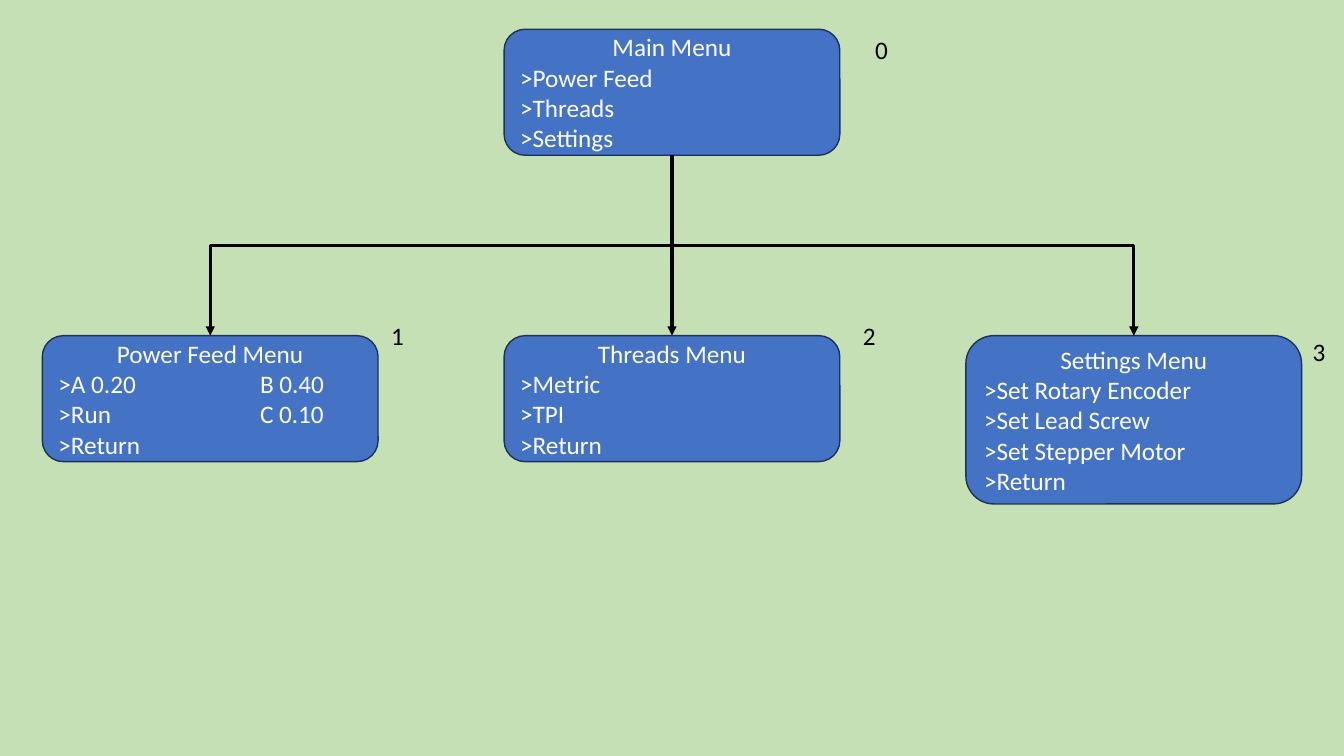
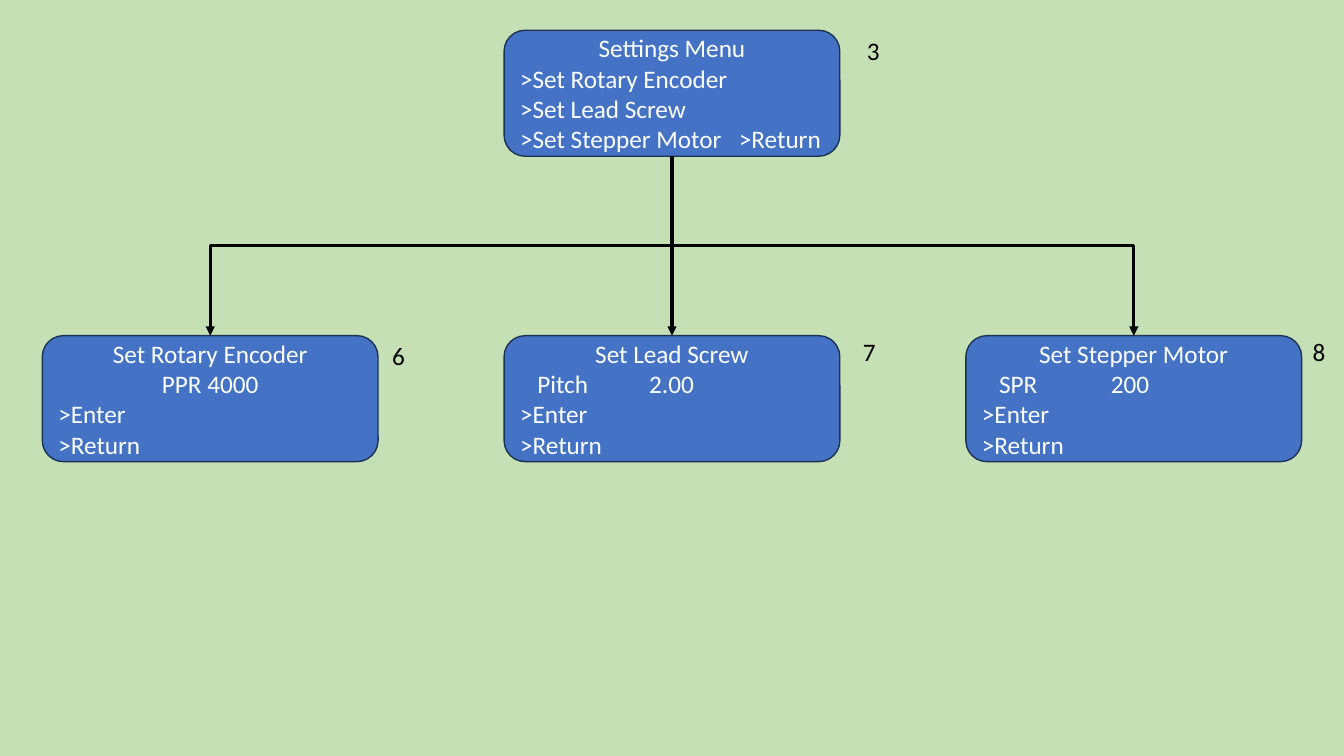
"""Build two slides of menu trees: a parent menu with three submenus each."""
from lxml.etree import SubElement
from pptx import Presentation
from pptx.dml.color import RGBColor
from pptx.enum.shapes import MSO_CONNECTOR, MSO_SHAPE
from pptx.enum.text import MSO_ANCHOR, MSO_AUTO_SIZE, PP_ALIGN
from pptx.oxml.ns import qn
from pptx.util import Inches, Pt

BACKGROUND = RGBColor(0xC5, 0xE0, 0xB4)
BOX_FILL = RGBColor(0x44, 0x72, 0xC4)
BOX_LINE = RGBColor(0x1E, 0x32, 0x56)
WHITE = RGBColor(0xFF, 0xFF, 0xFF)
BLACK = RGBColor(0, 0, 0)
FONT, FONT_SIZE = "Calibri", Pt(18)

BOX_WIDTH, BOX_HEIGHT = 3.33, 1.25
COLUMN_LEFT, COLUMN_STEP = 0.42, 4.58
CHILD_TOP = 3.33
TOP, LEFT, BOTTOM, RIGHT = range(4)

TREES = [
    {
        "parent": {"top": 0.29, "number": ("0", 8.58, 0.29), "titles": ["Main Menu"],
                   "items": [">Power Feed", ">Threads", ">Settings"]},
        "children": [
            {"number": ("1", 3.78, 3.13), "titles": ["Power Feed Menu"], "tabs": [2],
             "items": [">A 0.20\tB 0.40", ">Run\tC 0.10", ">Return"]},
            {"number": ("2", 8.46, 3.13), "titles": ["Threads Menu"],
             "items": [">Metric", ">TPI", ">Return"]},
            {"number": ("3", 12.92, 3.29), "titles": ["Settings Menu"], "height": 1.67,
             "items": [">Set Rotary Encoder", ">Set Lead Screw", ">Set Stepper Motor", ">Return"]},
        ],
    },
    {
        "parent": {"top": 0.3, "number": ("3", 8.5, 0.3), "titles": ["Settings Menu"], "tabs": [2.17],
                   "items": [">Set Rotary Encoder", ">Set Lead Screw", ">Set Stepper Motor\t>Return"]},
        "children": [
            {"number": ("6", 3.79, 3.33), "titles": ["Set Rotary Encoder", "PPR 4000"],
             "items": [">Enter", ">Return"]},
            {"number": ("7", 8.46, 3.29), "titles": ["Set Lead Screw"], "tabs": [0.17, 1.28],
             "items": ["\tPitch\t2.00", ">Enter", ">Return"]},
            {"number": ("8", 12.92, 3.29), "titles": ["Set Stepper Motor"], "tabs": [0.17, 1.28],
             "items": ["\tSPR\t200", ">Enter", ">Return"]},
        ],
    },
]


def add_text(paragraph, text, color, alignment=PP_ALIGN.LEFT):
    paragraph.alignment = alignment
    run = paragraph.add_run()
    run.text = text
    run.font.name, run.font.size = FONT, FONT_SIZE
    run.font.color.rgb = color


def set_tabs(paragraph, positions):
    tab_list = SubElement(paragraph._p.get_or_add_pPr(), qn("a:tabLst"))
    for position in positions:
        SubElement(tab_list, qn("a:tab"), pos=str(Inches(position)), algn="l")


def add_number(slide, text, left, top):
    box = slide.shapes.add_textbox(Inches(left), Inches(top), Inches(0.58), Inches(0.4))
    box.text_frame.word_wrap = True
    box.text_frame.auto_size = MSO_AUTO_SIZE.SHAPE_TO_FIT_TEXT
    add_text(box.text_frame.paragraphs[0], text, BLACK)


def add_menu(slide, menu, column, top):
    shape = slide.shapes.add_shape(
        MSO_SHAPE.ROUNDED_RECTANGLE, Inches(COLUMN_LEFT + column * COLUMN_STEP), Inches(top),
        Inches(BOX_WIDTH), Inches(menu.get("height", BOX_HEIGHT)))
    shape.shadow.inherit = False
    shape.fill.solid()
    shape.fill.fore_color.rgb = BOX_FILL
    shape.line.color.rgb = BOX_LINE
    shape.line.width = Pt(1)
    frame = shape.text_frame
    frame.word_wrap = True
    frame.vertical_anchor = MSO_ANCHOR.MIDDLE
    lines = [(title, PP_ALIGN.CENTER) for title in menu["titles"]]
    lines += [(item, PP_ALIGN.LEFT) for item in menu["items"]]
    for index, (text, alignment) in enumerate(lines):
        paragraph = frame.add_paragraph() if index else frame.paragraphs[0]
        add_text(paragraph, text, WHITE, alignment)
        if "\t" in text:
            set_tabs(paragraph, menu["tabs"])
    add_number(slide, *menu["number"])
    return shape


def turn_elbow(connector, goes_right):
    """Rotate an elbow so that it leaves downwards instead of sideways."""
    width, height = connector.width, connector.height
    center_x, center_y = connector.left + width // 2, connector.top + height // 2
    connector.left, connector.top = center_x - height // 2, center_y - width // 2
    connector.width, connector.height = height, width
    transform = connector._element.spPr.find(qn("a:xfrm"))
    transform.set("rot", str((270 if goes_right else 90) * 60000))
    transform.set("flipH", "1" if goes_right else "0")


def add_arrow(slide, parent, child):
    straight = parent.left == child.left
    kind = MSO_CONNECTOR.STRAIGHT if straight else MSO_CONNECTOR.ELBOW
    connector = slide.shapes.add_connector(kind, 0, 0, 0, 0)
    connector.begin_connect(parent, BOTTOM)
    connector.end_connect(child, TOP)
    if not straight:
        turn_elbow(connector, child.left > parent.left)
    connector.line.color.rgb = BLACK
    connector.line.width = Pt(2.25)
    SubElement(connector.line._get_or_add_ln(), qn("a:tailEnd"), type="triangle")
    SubElement(connector._element.spPr, qn("a:effectLst"))


def add_tree(presentation, tree):
    slide = presentation.slides.add_slide(presentation.slide_layouts[6])
    slide.background.fill.solid()
    slide.background.fill.fore_color.rgb = BACKGROUND
    parent = add_menu(slide, tree["parent"], 1, tree["parent"]["top"])
    for column, menu in enumerate(tree["children"]):
        add_arrow(slide, parent, add_menu(slide, menu, column, CHILD_TOP))


def main():
    presentation = Presentation()
    presentation.slide_width, presentation.slide_height = Inches(13.33), Inches(7.5)
    for tree in TREES:
        add_tree(presentation, tree)
    presentation.save("out.pptx")


if __name__ == "__main__":
    main()
